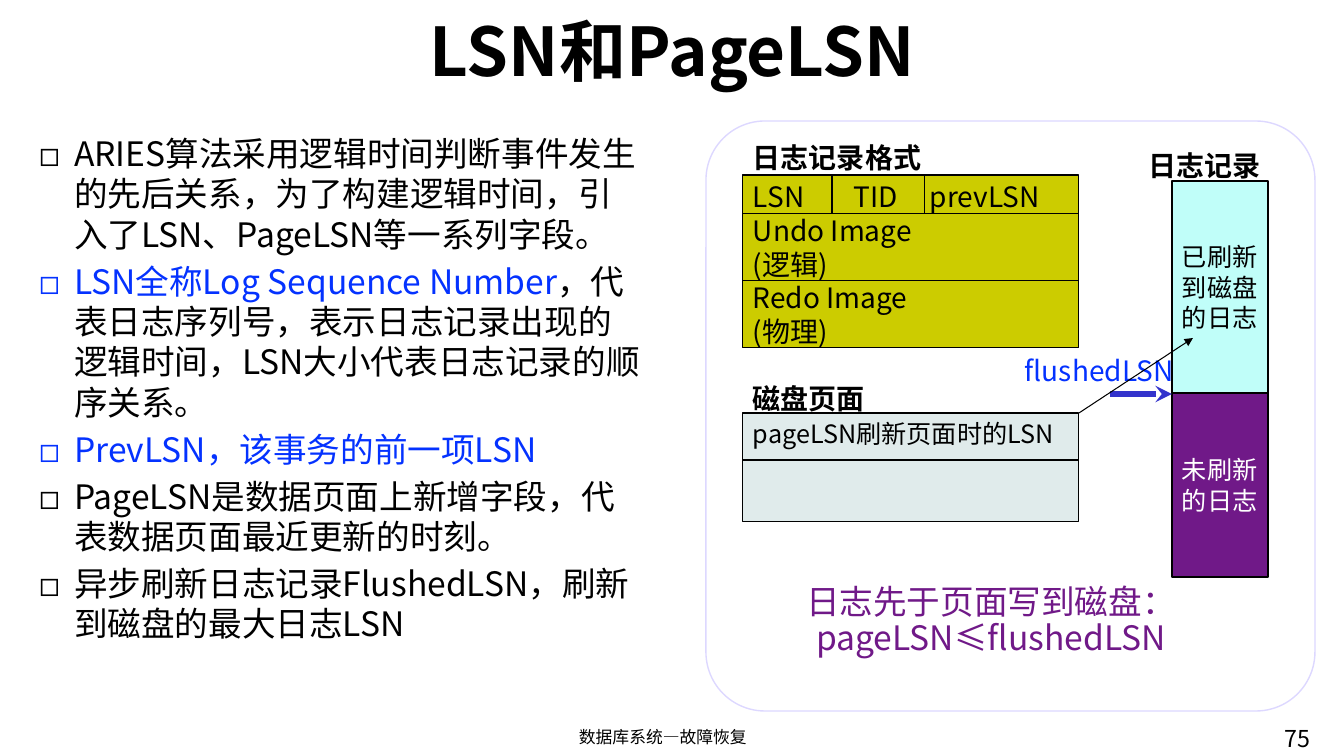
from dataclasses import dataclass
from lxml.etree import SubElement
from pptx import Presentation
from pptx.dml.color import RGBColor
from pptx.enum.shapes import MSO_CONNECTOR, MSO_SHAPE
from pptx.enum.text import MSO_ANCHOR, MSO_AUTO_SIZE, PP_ALIGN
from pptx.oxml.ns import qn
from pptx.util import Emu, Pt


@dataclass(frozen=True)
class Theme:
    font: str = "Noto Sans CJK SC"
    black: str = "000000"
    white: str = "FFFFFF"
    blue: str = "0432FF"
    arrow: str = "3333CC"
    rim: str = "DDD8FF"
    olive: str = "CCCC00"
    page: str = "E0EBEB"
    cyan: str = "C0FEF9"
    purple: str = "701988"
    title: float = 48
    body: float = 24
    label: float = 20
    small: float = 18
    number: float = 16.6
    foot: float = 12
    pitch: float = 1.2
    tight: float = 1.08


T = Theme()

# Content: each body paragraph is a list of (text, colour) runs
TITLE = "LSN和PageLSN"
POINTS = [
    [("ARIES算法采用逻辑时间判断事件发生的先后关系，为了构建逻辑时间，"
      "引入了LSN、PageLSN等一系列字段。", T.black)],
    [("LSN全称Log Sequence Number", T.blue),
     ("，代表日志序列号，表示日志记录出现的逻辑时间，"
      "LSN大小代表日志记录的顺序关系。", T.black)],
    [("PrevLSN，该事务的前一项LSN", T.blue)],
    [("PageLSN是数据页面上新增字段，代表数据页面最近更新的时刻。", T.black)],
    [("异步刷新日志记录FlushedLSN，刷新到磁盘的最大日志LSN", T.black)],
]
RECORD = ["LSN\tTID\tprevLSN", "Undo Image", "(逻辑)", "Redo Image", "(物理)"]
PAGE = ["pageLSN刷新页面时的LSN"]
FLUSHED = ["已刷新", "到磁盘", "的日志"]
PENDING = ["未刷新", "的日志"]
LABELS = [  # text, left, top, width, colour, bold
    ("日志记录格式", 743, 136, 229, T.black, True),
    ("磁盘页面", 743, 377, 229, T.black, True),
    ("日志记录", 1139, 144, 190, T.black, True),
    ("flushedLSN", 1015, 349, 173, T.blue, False),
]
RULE = ["日志先于页面写到磁盘：", "pageLSN≤flushedLSN"]
FOOT, NUMBER = "数据库系统—故障恢复", "75"

# Geometry in px
LEFT, RIGHT = 743, 1079
REC_TOP, REC_END = 175, 348
HEAD, UNDO = 214, 281
PAGE_TOP, PAGE_END, PAGE_ROW = 413, 522, 460
LOG, LOG_W = 1172, 96
LOG_TOP, LOG_MID, LOG_END = 181, 393, 577
COLS = [832, 925]
TABS = [101, 177]
BULLET = 35


def px(n):
    return Emu(round(n * 914400 / 100.8))


def rgb(code):
    return RGBColor.from_string(code)


def style(para, size, color, bold=False, pitch=T.pitch):
    para.line_spacing = Pt(round(size * pitch, 1))
    font = para.font
    font.size, font.bold, font.name = Pt(size), bold, T.font
    font.color.rgb = rgb(color)
    props = para._p.pPr.find(qn("a:defRPr"))
    SubElement(props, qn("a:ea"), typeface=T.font)


def write(frame, lines, size, color, bold=False, align=PP_ALIGN.LEFT,
          anchor=MSO_ANCHOR.TOP, wrap=True, pitch=T.pitch, indent=0):
    frame.word_wrap, frame.vertical_anchor = wrap, anchor
    for i, line in enumerate(lines):
        para = frame.paragraphs[0] if i == 0 else frame.add_paragraph()
        para.add_run().text = line
        para.alignment = align
        props = para._p.get_or_add_pPr()
        if indent:
            props.set("marL", str(px(indent)))
            props.set("indent", "0")
        if "\t" in line:
            stops = SubElement(props, qn("a:tabLst"))
            for tab in TABS:
                SubElement(stops, qn("a:tab"), pos=str(px(tab)), algn="l")
        style(para, size, color, bold, pitch)


def place(shape, x, y, w, h):
    shape.left, shape.top, shape.width, shape.height = map(px, (x, y, w, h))


def box(x, y, w, h, fill, line, width, kind=MSO_SHAPE.RECTANGLE):
    shape = slide.shapes.add_shape(kind, *map(px, (x, y, w, h)))
    shape.shadow.inherit = False
    shape.fill.solid()
    shape.fill.fore_color.rgb = rgb(fill)
    shape.line.color.rgb = rgb(line)
    shape.line.width = Pt(width)
    return shape


def text(x, y, w, h, lines, size, color, **more):
    shape = slide.shapes.add_textbox(*map(px, (x, y, w, h)))
    write(shape.text_frame, lines, size, color, **more)


def link(x1, y1, x2, y2, color=T.black, width=0.75, head=None):
    line = slide.shapes.add_connector(
        MSO_CONNECTOR.STRAIGHT, *map(px, (x1, y1, x2, y2)))
    line.line.color.rgb = rgb(color)
    line.line.width = Pt(width)
    if head:
        SubElement(line.line._get_or_add_ln(), qn("a:tailEnd"), type=head)
    SubElement(line._element.spPr, qn("a:effectLst"))


deck = Presentation()
deck.slide_width, deck.slide_height = px(1344), px(756)
slide = deck.slides.add_slide(deck.slide_layouts[1])
title, body = slide.placeholders[0], slide.placeholders[1]

# Title
place(title, 116, 12, 1113, 75)
write(title.text_frame, [TITLE], T.title, T.black, bold=True,
      align=PP_ALIGN.CENTER, anchor=MSO_ANCHOR.MIDDLE)

# Bullet list
place(body, 29, 128, 625, 551)
frame = body.text_frame
frame.word_wrap, frame.auto_size = True, MSO_AUTO_SIZE.NONE
for i, runs in enumerate(POINTS):
    para = frame.paragraphs[0] if i == 0 else frame.add_paragraph()
    para.space_before = Pt(4.8 if i else 0)
    props = para._p.get_or_add_pPr()
    props.set("marL", str(px(BULLET)))
    props.set("indent", str(-px(BULLET)))
    SubElement(props, qn("a:buFont"), typeface=T.font)
    SubElement(props, qn("a:buChar"), char="◻")
    style(para, T.body, runs[0][1])
    for words, color in runs:
        run = para.add_run()
        run.text = words
        if len(runs) > 1:
            run.font.color.rgb = rgb(color)

# Panel
panel = box(706, 121, 609, 590, T.white, T.rim, 1,
            MSO_SHAPE.ROUNDED_RECTANGLE)
panel.adjustments[0] = 0.1

# Log record and disk page
for top, end, fill, lines, size in [
        (REC_TOP, REC_END, T.olive, RECORD, T.label),
        (PAGE_TOP, PAGE_END, T.page, PAGE, T.small)]:
    part = box(LEFT, top, RIGHT - LEFT, end - top, fill, T.black, 0.75)
    write(part.text_frame, lines, size, T.black)
for y in (HEAD, UNDO, PAGE_ROW):
    link(LEFT, y, RIGHT, y)
for x in COLS:
    link(x, REC_TOP, x, HEAD)

# Log column
for top, end, fill, color, lines in [
        (LOG_TOP, LOG_MID, T.cyan, T.black, FLUSHED),
        (LOG_MID, LOG_END, T.purple, T.white, PENDING)]:
    part = box(LOG, top, LOG_W, end - top, fill, T.black, 1)
    write(part.text_frame, lines, T.small, color,
          anchor=MSO_ANCHOR.MIDDLE, wrap=False)

# Arrows, labels and rule
link(1110, LOG_MID + 1, LOG, LOG_MID + 1, T.arrow, 4, "stealth")
for words, x, y, w, color, bold in LABELS:
    text(x, y, w, 44, [words], T.label, color, bold=bold)
link(RIGHT, PAGE_TOP, 1193, 338, head="triangle")
text(LEFT, 580, 446, 84, RULE, T.body, T.purple,
     align=PP_ALIGN.CENTER, pitch=T.tight, indent=50)

# Footer
text(451, 722, 424, 34, [FOOT], T.foot, T.black, align=PP_ALIGN.CENTER)
text(1275, 719, 60, 36, [NUMBER], T.number, T.black)

deck.save("out.pptx")
